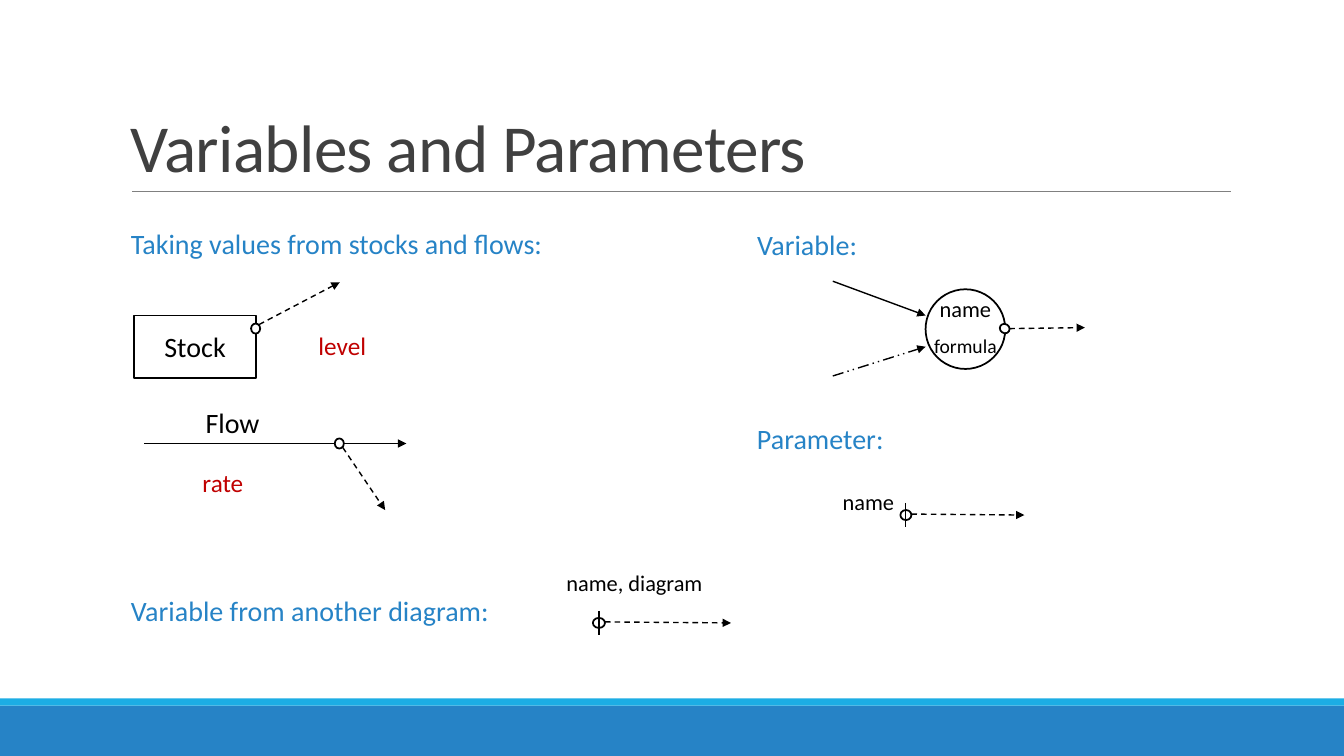
from dataclasses import dataclass

from lxml.etree import SubElement
from pptx import Presentation
from pptx.dml.color import RGBColor
from pptx.enum.dml import MSO_LINE
from pptx.enum.shapes import MSO_CONNECTOR, MSO_SHAPE
from pptx.enum.text import MSO_ANCHOR, MSO_AUTO_SIZE, PP_ALIGN
from pptx.oxml.ns import qn
from pptx.util import Emu, Pt


@dataclass(frozen=True)
class Theme:
    """Colours, type sizes and line widths of the slide."""
    font: str = "Calibri"
    ink: str = "000000"
    paper: str = "FFFFFF"
    title: str = "404040"
    heading: str = "2683C6"
    accent: str = "1CADE4"
    value: str = "C00000"
    rule: str = "808080"
    title_size: int = 48
    heading_size: int = 20
    value_size: int = 18
    name_size: int = 16
    formula_size: int = 14
    outline: float = 1.25
    stroke: float = 1
    hairline: float = 0.5


THEME = Theme()
PAGE_WIDTH, PAGE_HEIGHT = 1333, 750


def px(length):
    """Turn pixels, one hundred to the inch, into EMU."""
    return Emu(length * 9144)


def colour(code):
    """Turn a hex code into a colour."""
    return RGBColor.from_string(code)


def apply(target, values):
    """Set every attribute named in a dict of format values."""
    for name, value in values.items():
        setattr(target, name, value)


def write(para, text, size, tint, **layout):
    """Fill a paragraph with one styled span and return the span."""
    apply(para, layout)
    span = para.add_run()
    span.text = text
    apply(span.font, {"name": THEME.font, "size": Pt(size)})
    span.font.color.rgb = colour(tint)
    return span


def add_frame(page, box, **layout):
    """Add an empty text box and return its text frame."""
    frame = page.shapes.add_textbox(*map(px, box)).text_frame
    apply(frame, layout)
    return frame


def add_label(page, text, box, size, tint):
    """Add a one-line label that grows with its text."""
    frame = add_frame(page, box, word_wrap=False, auto_size=MSO_AUTO_SIZE.SHAPE_TO_FIT_TEXT)
    write(frame.paragraphs[0], text, size, tint)


def add_block(page, kind, box, fill, outlined=True, rotation=0):
    """Add a filled preset shape, outlined in ink if asked."""
    block = page.shapes.add_shape(kind, *map(px, box))
    block.shadow.inherit = False
    block.rotation = rotation
    block.fill.solid()
    block.fill.fore_color.rgb = colour(fill)
    if outlined:
        block.line.color.rgb = colour(THEME.ink)
        block.line.width = Pt(THEME.outline)
    else:
        block.line.fill.background()
    return block


def add_line(page, start, end, tint=THEME.ink, width=THEME.stroke, dash=None, arrow=False):
    """Add a straight line, dashed or with an arrowhead if asked."""
    line = page.shapes.add_connector(MSO_CONNECTOR.STRAIGHT, *map(px, start + end))
    line.line.color.rgb = colour(tint)
    apply(line.line, {"width": Pt(width), "dash_style": dash})
    if arrow:
        SubElement(line.get_or_add_ln(), qn("a:tailEnd"), type="triangle")
    SubElement(line._element.spPr, qn("a:effectLst"))


def add_port(page, left, top, start, end, width=9, rotation=0):
    """Add a small ring with the dashed arrow that leaves it."""
    add_block(page, MSO_SHAPE.OVAL, (left, top, width, 10), THEME.paper, rotation=rotation)
    add_line(page, start, end, dash=MSO_LINE.DASH, arrow=True)


def add_source(page, left, top, width, reach):
    """Add a port crossed by an upright tick."""
    right, middle = left + width, left + width // 2
    add_port(page, left, top, (right, top + 4), (right + reach, top + 5), width)
    add_line(page, (middle, top - 7), (middle, top + 17))


def add_decor(page):
    """Add the footer bands, the title and its rule."""
    for top, height, fill in ((700, 50, THEME.heading), (693, 7, THEME.accent)):
        add_block(page, MSO_SHAPE.RECTANGLE, (0, top, PAGE_WIDTH, height), fill, outlined=False)
    add_line(page, (131, 190), (1221, 190), THEME.rule, THEME.hairline)
    frame = add_frame(page, (120, 31, 1100, 159), word_wrap=True, vertical_anchor=MSO_ANCHOR.BOTTOM)
    span = write(frame.paragraphs[0], "Variables and Parameters",
                 THEME.title_size, THEME.title, line_spacing=0.85)
    span.font._element.set("spc", "-50")


def add_stock_and_flow(page):
    """Add the stock box and the flow arrow with their ports."""
    stock = add_block(page, MSO_SHAPE.RECTANGLE, (133, 313, 121, 62), THEME.paper)
    stock.text_frame.vertical_anchor = MSO_ANCHOR.MIDDLE
    write(stock.text_frame.paragraphs[0], "Stock", THEME.heading_size, THEME.ink,
          alignment=PP_ALIGN.CENTER)
    add_port(page, 249, 321, (257, 322), (337, 280))
    add_line(page, (143, 440), (403, 440), arrow=True)
    add_port(page, 332, 435, (340, 444), (382, 506))


def add_variable(page):
    """Add the variable circle, its inputs, its port and its text."""
    add_block(page, MSO_SHAPE.OVAL, (918, 287, 79, 79), THEME.paper)
    add_line(page, (826, 279), (918, 313), arrow=True)
    add_line(page, (826, 373), (918, 344), dash=MSO_LINE.DASH_DOT_DOT, arrow=True)
    add_port(page, 992, 321, (1001, 326), (1076, 325), rotation=303.4)
    frame = add_frame(page, (899, 288, 117, 69), word_wrap=True,
                      auto_size=MSO_AUTO_SIZE.SHAPE_TO_FIT_TEXT)
    write(frame.paragraphs[0], "name", THEME.name_size, THEME.ink, alignment=PP_ALIGN.CENTER)
    write(frame.add_paragraph(), "formula", THEME.formula_size, THEME.ink,
          alignment=PP_ALIGN.CENTER, line_spacing=1.5)


def add_labels(page):
    """Add the headings, the names and the value words."""
    heading = (THEME.heading_size, THEME.heading)
    flow = (THEME.heading_size, THEME.ink)
    name = (THEME.name_size, THEME.ink)
    value = (THEME.value_size, THEME.value)
    labels = (
        ("Taking values from stocks and flows:", (120, 220, 432, 44), heading),
        ("Variable:", (741, 221, 121, 44), heading),
        ("Parameter:", (741, 413, 147, 44), heading),
        ("Variable from another diagram:", (120, 584, 390, 44), heading),
        ("Flow", (194, 397, 74, 44), flow),
        ("name", (826, 479, 72, 37), name),
        ("name, diagram", (552, 560, 156, 37), name),
        ("level", (306, 323, 68, 40), value),
        ("rate", (191, 459, 61, 40), value),
    )
    for text, box, style in labels:
        add_label(page, text, box, *style)


def main():
    """Build the slide and save the deck."""
    deck = Presentation()
    apply(deck, {"slide_width": px(PAGE_WIDTH), "slide_height": px(PAGE_HEIGHT)})
    page = deck.slides.add_slide(deck.slide_layouts[6])
    add_decor(page)
    add_stock_and_flow(page)
    add_variable(page)
    add_source(page, 893, 506, 11, 112)
    add_source(page, 588, 613, 12, 125)
    add_labels(page)
    deck.save("out.pptx")


if __name__ == "__main__":
    main()
